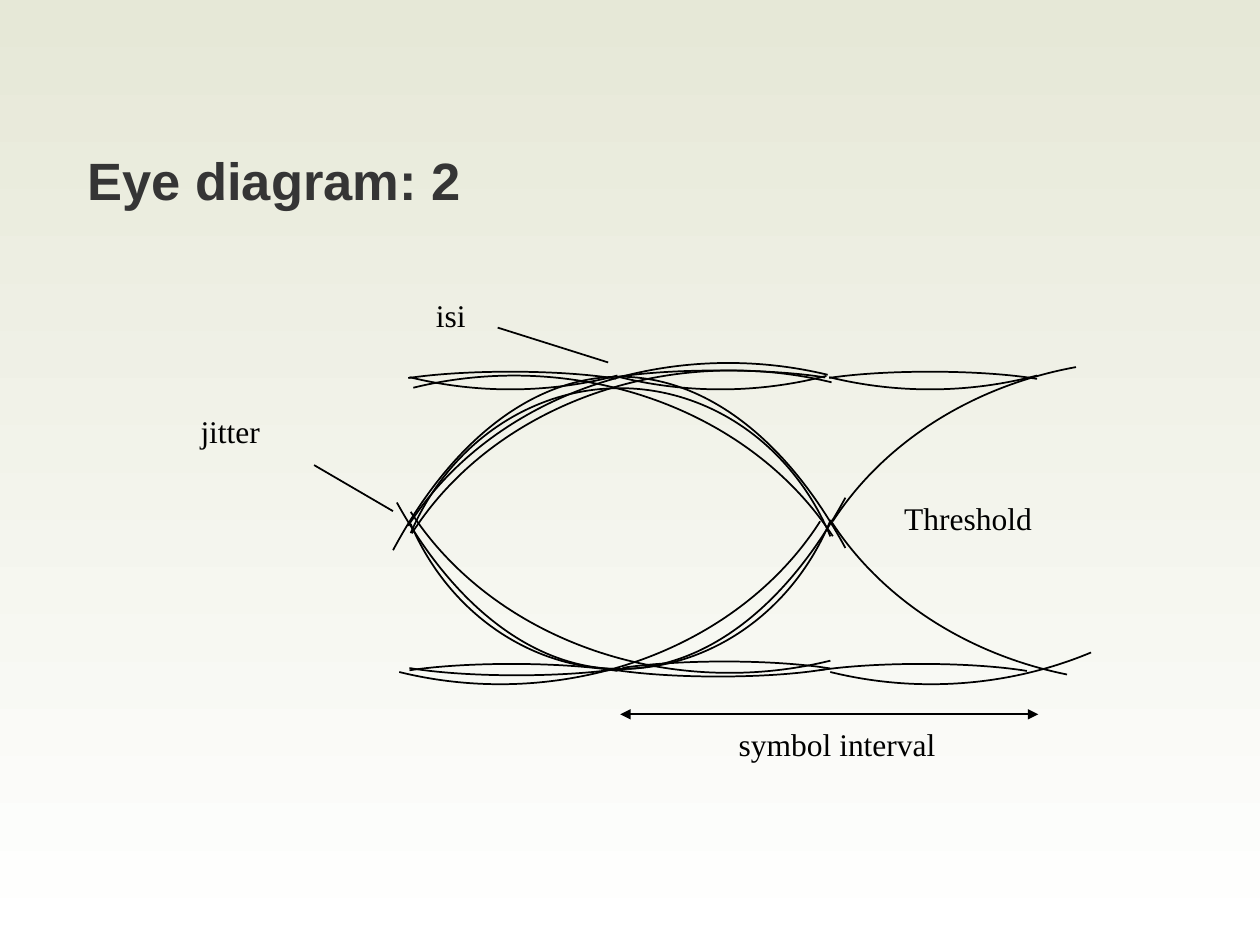
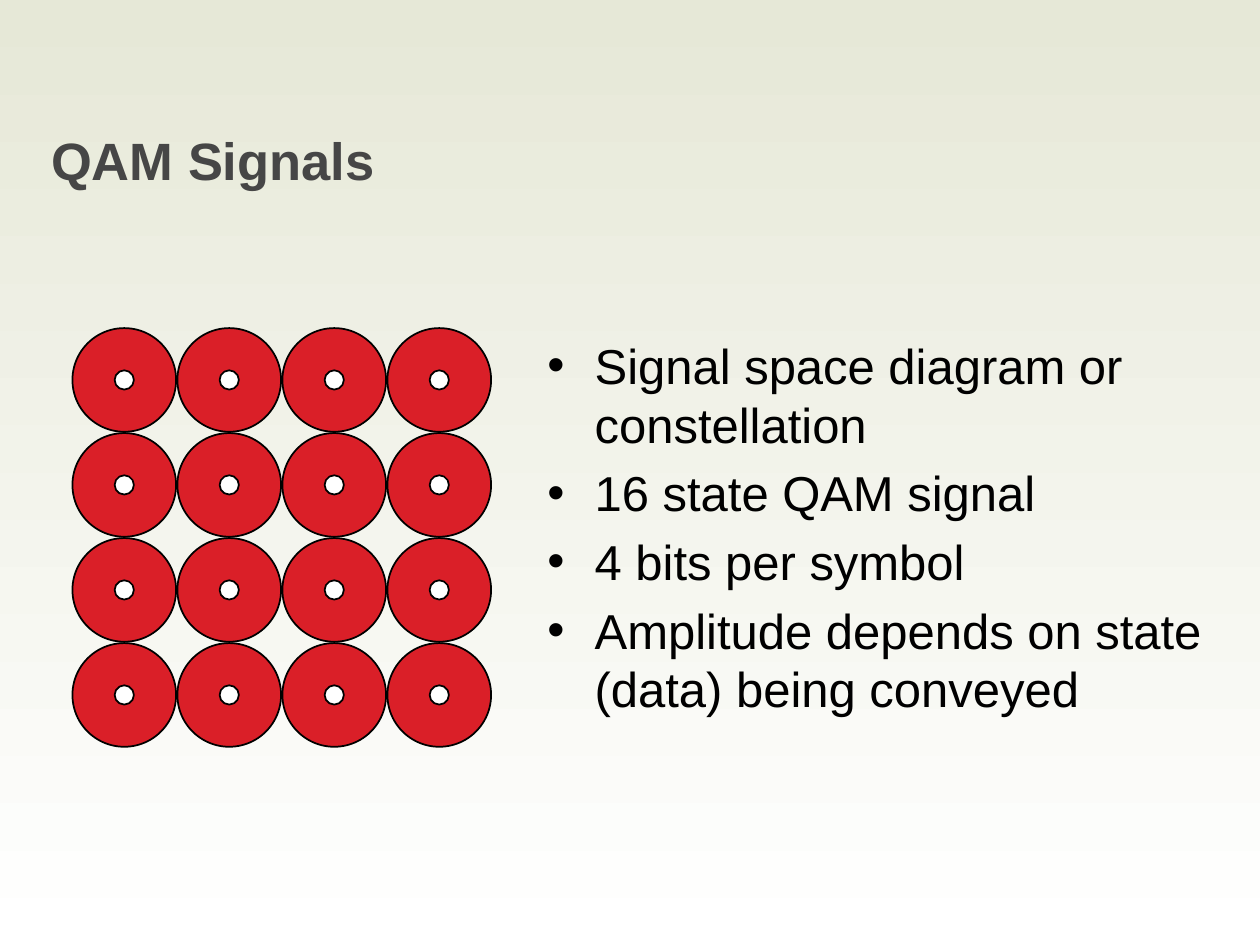
import copy
import math

import lxml.etree
import pptx
import pptx.dml.color
import pptx.enum.shapes
import pptx.enum.text
import pptx.oxml.ns
import pptx.util

Pt = pptx.util.Pt
RGBColor = pptx.dml.color.RGBColor
qn = pptx.oxml.ns.qn
PP_ALIGN = pptx.enum.text.PP_ALIGN
MSO_ANCHOR = pptx.enum.text.MSO_ANCHOR

SAGE = RGBColor(0xE6, 0xE8, 0xD7)
WHITE = RGBColor(0xFF, 0xFF, 0xFF)
BLACK = RGBColor(0, 0, 0)
CHARCOAL = RGBColor(0x35, 0x35, 0x35)
GREY = RGBColor(0x46, 0x46, 0x46)
RED = RGBColor(0xDA, 0x1F, 0x28)
SANS = "Arial"
SERIF = "Times New Roman"

PEAK, TROUGH = 1, -1
# Each radius pair maps to (apex x, apex y, left, right, direction).
TRACES = {
    (180, 324): [
        (154.2, 15.3, 24.6, 283.1, PEAK),
        (154.2, 182.3, 26.8, 283.1, TROUGH),
    ],
    (131.8, 143.3): [
        (154.2, 21.8, 34.7, 274.5, PEAK),
        (154.2, 182.3, 34.7, 274.5, TROUGH),
    ],
    (208.6, 179.3): [
        (93.8, 14.6, 36.2, 275.9, PEAK),
        (216.2, 7.4, 33.3, 273, PEAK),
        (85.8, 191, 28.2, 268.7, TROUGH),
        (218.3, 11.7, 35.4, 275.2, PEAK),
        (91.6, 22.5, 34, 152.8, TROUGH),
        (211.8, 22.5, 154.2, 272.3, TROUGH),
        (216.9, 184.5, 34.7, 274.5, TROUGH),
        (458.1, 5.9, 275.9, 414.9, PEAK),
        (331.4, 22.5, 273.8, 392.6, TROUGH),
        (457.4, 190.2, 274.5, 409.8, TROUGH),
        (332.1, 191, 274.5, 423.5, TROUGH),
    ],
    (82.2, 12.4): [
        (92.3, 179.4, 34, 152.8, PEAK),
        (210.4, 186.6, 152.1, 271.6, TROUGH),
        (214, 178, 155.7, 274.5, PEAK),
        (91.6, 12.4, 33.3, 152.1, PEAK),
        (211.1, 11.7, 153.5, 271.6, PEAK),
        (95.2, 185.9, 34, 153.5, TROUGH),
        (331.4, 12.4, 273.8, 392.6, PEAK),
        (326.3, 179.4, 268, 386.8, PEAK),
    ],
}


def write(frame, lines, size=18, font=SERIF, color=BLACK, bold=False, align=PP_ALIGN.LEFT,
          anchor=MSO_ANCHOR.TOP, wrap=True, spacing=None, before=0, bullet=None, indent=0):
    frame.word_wrap = wrap
    frame.auto_size = pptx.enum.text.MSO_AUTO_SIZE.NONE
    frame.vertical_anchor = anchor
    for index, line in enumerate(lines):
        paragraph = frame.add_paragraph() if index else frame.paragraphs[0]
        paragraph.text = line
        if bullet:
            properties = paragraph._p.get_or_add_pPr()
            properties.set("marL", str(Pt(indent)))
            properties.set("indent", str(-Pt(indent)))
            lxml.etree.SubElement(properties, qn("a:buChar")).set("char", bullet)
        paragraph.alignment = align
        paragraph.space_before = Pt(before if index else 0)
        if spacing:
            paragraph.line_spacing = spacing
        paragraph.font.size = Pt(size)
        paragraph.font.name = font
        paragraph.font.bold = bold
        paragraph.font.color.rgb = color


def place(shape, left, top, width, height):
    shape.left, shape.top = Pt(left), Pt(top)
    shape.width, shape.height = Pt(width), Pt(height)


def outline(shape):
    shape.line.color.rgb = BLACK
    shape.line.width = Pt(1)


def heading(slide, text, box, color, spacing=None):
    title = slide.shapes.title
    place(title, *box)
    write(title.text_frame, [text], size=30, font=SANS, color=color, bold=True,
          anchor=MSO_ANCHOR.MIDDLE, spacing=spacing)


def label(slide, text, left, top, width, align=PP_ALIGN.LEFT):
    caption = slide.shapes.add_textbox(Pt(left), Pt(top), Pt(width), Pt(29))
    write(caption.text_frame, [text], align=align, wrap=False)


def connect(slide, x1, y1, x2, y2, arrows=False):
    link = slide.shapes.add_connector(pptx.enum.shapes.MSO_CONNECTOR.STRAIGHT,
                                      Pt(x1), Pt(y1), Pt(x2), Pt(y2))
    outline(link)
    if arrows:
        for end in ("a:headEnd", "a:tailEnd"):
            lxml.etree.SubElement(link.line._get_or_add_ln(), qn(end)).set("type", "triangle")
    lxml.etree.SubElement(link._element.spPr, qn("a:effectLst"))


def arc_points(center_x, center_y, radius_x, radius_y, left, right, direction):
    angles = [math.asin((x - center_x) / radius_x) for x in (left, right)]
    if left < center_x < right:
        angles.insert(1, 0)
    if direction == TROUGH:
        angles.reverse()

    def on_arc(angle, pull=0):
        sine, cosine = math.sin(angle), math.cos(angle)
        return (center_x + radius_x * (sine + pull * cosine),
                center_y - direction * radius_y * (cosine - pull * sine))

    points = [on_arc(angles[0])]
    for start, end in zip(angles, angles[1:]):
        pull = 4 / 3 * math.tan((end - start) / 4)
        points += [on_arc(start, pull), on_arc(end, -pull), on_arc(end)]
    return points


def bend(curve):
    sector = next(curve._element.iter(qn("a:path")))
    segments = sector.findall(qn("a:lnTo"))[:-1]
    for first in range(0, len(segments), 3):
        bezier = lxml.etree.Element(qn("a:cubicBezTo"))
        segments[first].addprevious(bezier)
        for segment in segments[first:first + 3]:
            bezier.append(segment[0])
            sector.remove(segment)
    arc = copy.deepcopy(sector)
    arc.remove(arc.find(qn("a:lnTo")))
    arc.remove(arc.find(qn("a:close")))
    arc.set("fill", "none")
    sector.set("stroke", "0")
    sector.addprevious(arc)


def trace(slide, points, center):
    start, *corners = [(Pt(x), Pt(y)) for x, y in points + [center]]
    builder = slide.shapes.build_freeform(*start)
    builder.add_line_segments(corners, close=True)
    curve = builder.convert_to_shape()
    bend(curve)
    curve.shadow.inherit = False
    curve.fill.background()
    outline(curve)


def eye_pattern(slide, left, top):
    for (radius_x, radius_y), arcs in TRACES.items():
        for apex_x, apex_y, start, end, direction in arcs:
            center = left + apex_x, top + apex_y + direction * radius_y
            trace(slide, arc_points(*center, radius_x, radius_y,
                                    left + start, left + end, direction), center)
    label(slide, "Threshold", left + 309.6, top + 81.5, 87)
    label(slide, "symbol interval", left + 198.4, top + 210.7, 160, PP_ALIGN.CENTER)
    label(slide, "isi", left + 42, top - 34.4, 36)
    label(slide, "jitter", left - 92.5, top + 31.8, 87)
    connect(slide, left + 84.4, top - 12.8, left + 147.5, top + 7.1)
    connect(slide, left - 20.5, top + 65.8, left + 24.6, top + 92.1)
    connect(slide, left + 154.4, top + 208.2, left + 393.3, top + 208.2, arrows=True)


def constellation(slide, left, top, pitch=60, states_per_side=4):
    disc = 59.25
    for diameter, color in ((disc, RED), (11, WHITE)):
        inset = (disc - diameter) / 2
        for state in range(states_per_side ** 2):
            row, column = divmod(state, states_per_side)
            circle = slide.shapes.add_shape(
                pptx.enum.shapes.MSO_SHAPE.OVAL,
                Pt(left + column * pitch + inset), Pt(top + row * pitch + inset),
                Pt(diameter), Pt(diameter))
            circle.shadow.inherit = False
            circle.fill.solid()
            circle.fill.fore_color.rgb = color
            outline(circle)


def signal_points(slide, box):
    points = slide.placeholders[1]
    place(points, *box)
    write(points.text_frame, [
        "Signal space diagram or constellation",
        "16 state QAM signal",
        "4 bits per symbol",
        "Amplitude depends on state (data) being conveyed",
    ], size=28, font=SANS, before=5.6, bullet="•", indent=27)


def shade_master(master):
    fill = master.background.fill
    fill.gradient()
    fill.gradient_angle = 270
    for stop, color, position in zip(fill.gradient_stops, (SAGE, WHITE), (0, 1)):
        stop.color.rgb = color
        stop.position = position


def main():
    deck = pptx.Presentation()
    deck.slide_width, deck.slide_height = Pt(720), Pt(540)
    shade_master(deck.slide_master)

    eye = deck.slides.add_slide(deck.slide_layouts[5])
    heading(eye, "Eye diagram: 2", (42.8, 72.7, 640.8, 64.8), CHARCOAL, spacing=0.9)
    eye_pattern(eye, 200, 200)

    qam = deck.slides.add_slide(deck.slide_layouts[1])
    heading(qam, "QAM Signals", (22, 61.5, 586.8, 59.8), GREY)
    signal_points(qam, (305.6, 188, 389.5, 216))
    constellation(qam, 41.4, 187.5)

    deck.save("out.pptx")


if __name__ == "__main__":
    main()
